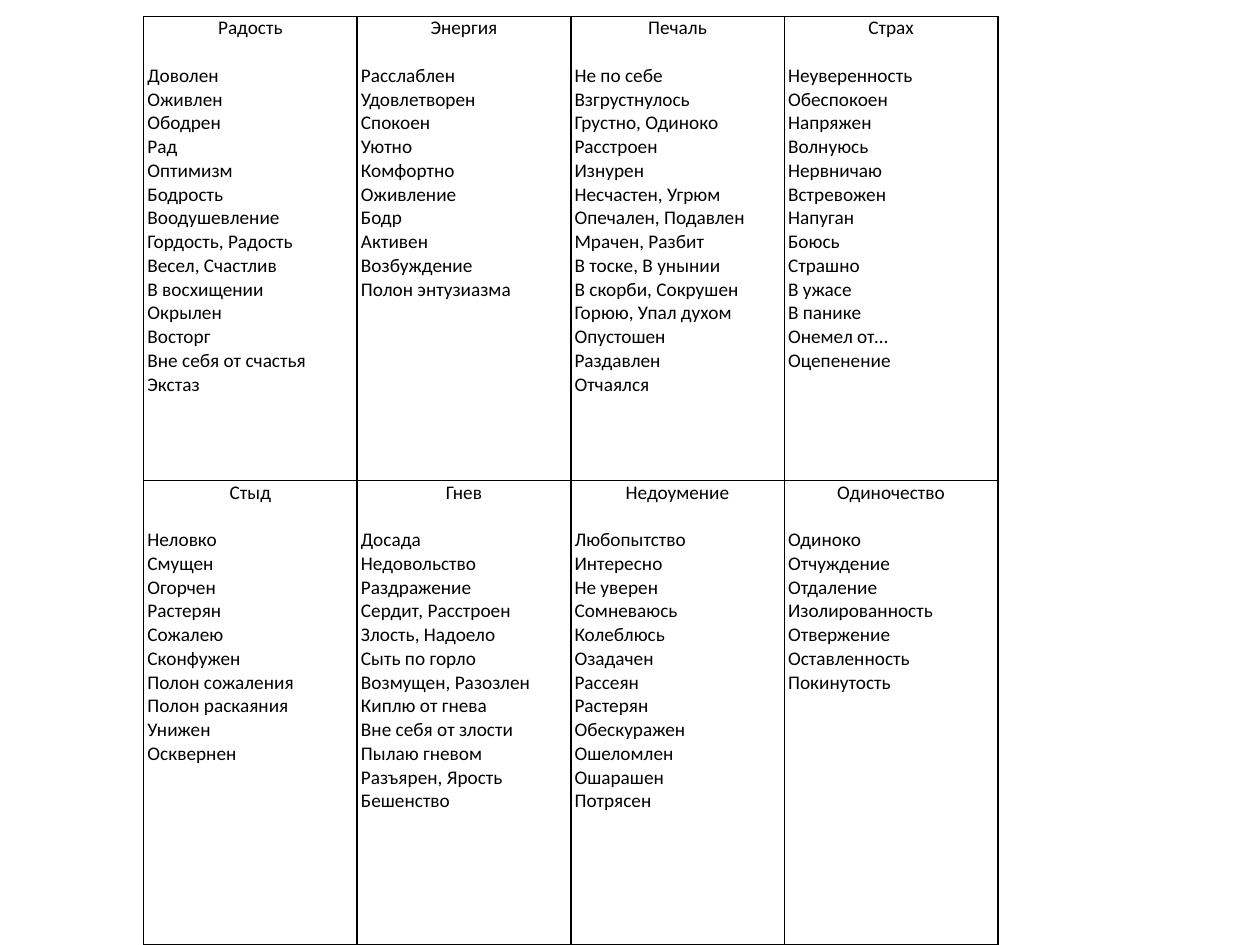
from lxml import etree
from pptx import Presentation
from pptx.dml.color import RGBColor
from pptx.enum.text import PP_ALIGN
from pptx.oxml.ns import qn
from pptx.util import Inches, Pt

CENTER, LEFT = PP_ALIGN.CENTER, PP_ALIGN.LEFT

THEME = {"font": "Calibri", "size": Pt(11), "ink": "000000",
         "border": Pt(1), "title_gap": Pt(13.5)}

# Each row of the table: (emotion, its shades from mild to strong)
EMOTION_ROWS = [
    [
        ("Радость", ["Доволен", "Оживлен", "Ободрен", "Рад", "Оптимизм", "Бодрость",
                     "Воодушевление", "Гордость, Радость", "Весел, Счастлив",
                     "В восхищении", "Окрылен", "Восторг", "Вне себя от счастья",
                     "Экстаз"]),
        ("Энергия", ["Расслаблен", "Удовлетворен", "Спокоен", "Уютно", "Комфортно",
                     "Оживление", "Бодр", "Активен", "Возбуждение",
                     "Полон энтузиазма"]),
        ("Печаль", ["Не по себе", "Взгрустнулось", "Грустно, Одиноко", "Расстроен",
                    "Изнурен", "Несчастен, Угрюм", "Опечален, Подавлен",
                    "Мрачен, Разбит", "В тоске, В унынии", "В скорби, Сокрушен",
                    "Горюю, Упал духом", "Опустошен", "Раздавлен", "Отчаялся"]),
        ("Страх", ["Неуверенность", "Обеспокоен", "Напряжен", "Волнуюсь", "Нервничаю",
                   "Встревожен", "Напуган", "Боюсь", "Страшно", "В ужасе", "В панике",
                   "Онемел от…", "Оцепенение"]),
    ],
    [
        ("Стыд", ["Неловко", "Смущен", "Огорчен", "Растерян", "Сожалею", "Сконфужен",
                  "Полон сожаления", "Полон раскаяния", "Унижен", "Осквернен"]),
        ("Гнев", ["Досада", "Недовольство", "Раздражение", "Сердит, Расстроен",
                  "Злость, Надоело", "Сыть по горло", "Возмущен, Разозлен",
                  "Киплю от гнева", "Вне себя от злости", "Пылаю гневом",
                  "Разъярен, Ярость", "Бешенство"]),
        ("Недоумение", ["Любопытство", "Интересно", "Не уверен", "Сомневаюсь",
                        "Колеблюсь", "Озадачен", "Рассеян", "Растерян", "Обескуражен",
                        "Ошеломлен", "Ошарашен", "Потрясен"]),
        ("Одиночество", ["Одиноко", "Отчуждение", "Отдаление", "Изолированность",
                         "Отвержение", "Оставленность", "Покинутость"]),
    ],
]


def add_borders(cell):
    properties = cell._tc.get_or_add_tcPr()
    for position, side in enumerate(("a:lnL", "a:lnR", "a:lnT", "a:lnB")):
        line = etree.Element(qn(side), w=str(THEME["border"]))
        fill = etree.SubElement(line, qn("a:solidFill"))
        etree.SubElement(fill, qn("a:srgbClr"), val=THEME["ink"])
        properties.insert(position, line)


def fill_cell(cell, emotion, shades):
    cell.fill.background()
    cell.margin_left = cell.margin_right = Inches(0.03)
    cell.margin_top = cell.margin_bottom = 0
    add_borders(cell)
    cell.text_frame.text = "\n".join([emotion, *shades])
    for number, paragraph in enumerate(cell.text_frame.paragraphs):
        paragraph.alignment = LEFT if number else CENTER
        for run in paragraph.runs:
            run.font.name = THEME["font"]
            run.font.size = THEME["size"]
            run.font.color.rgb = RGBColor.from_string(THEME["ink"])
    cell.text_frame.paragraphs[0].space_after = THEME["title_gap"]


def main():
    deck = Presentation()
    deck.slide_width, deck.slide_height = Inches(10), Inches(7.5)
    slide = deck.slides.add_slide(deck.slide_layouts[6])

    # Emotion table: equal columns and rows
    row_count, column_count = len(EMOTION_ROWS), len(EMOTION_ROWS[0])
    emotions = slide.shapes.add_table(row_count, column_count, Inches(1.14), Inches(0.13),
                                      Inches(6.78), Inches(7.37)).table
    emotions.first_row = emotions.horz_banding = False
    for row, entries in enumerate(EMOTION_ROWS):
        for column, (emotion, shades) in enumerate(entries):
            fill_cell(emotions.cell(row, column), emotion, shades)

    deck.save("out.pptx")


if __name__ == "__main__":
    main()
